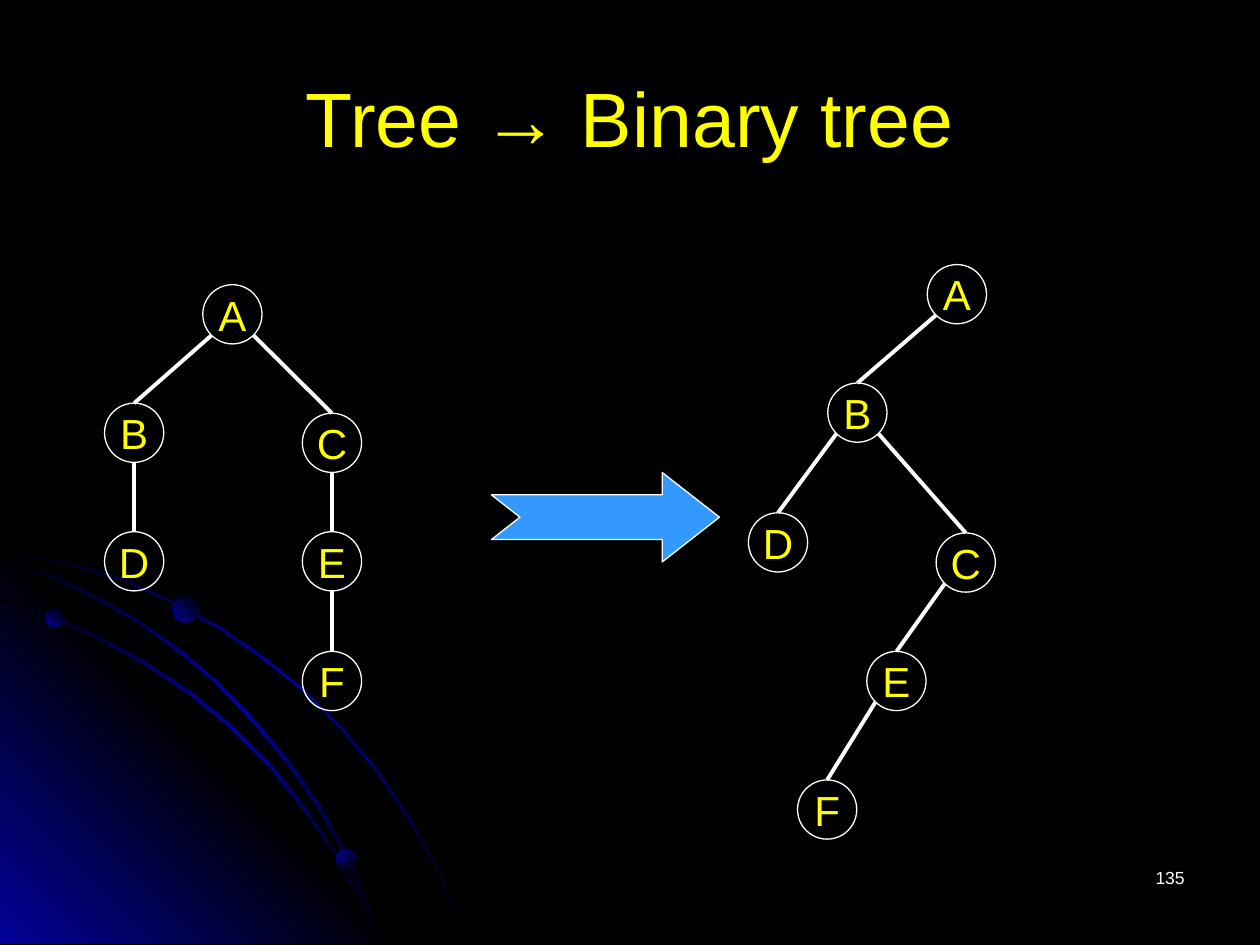
"""Build a slide that turns a tree into a binary tree."""
from math import cos, radians, sin

from lxml.etree import SubElement as Sub
from pptx import Presentation
from pptx.dml.color import RGBColor as Rgb
from pptx.enum.shapes import MSO_CONNECTOR as Link, MSO_SHAPE as Kind
from pptx.enum.text import MSO_ANCHOR as Anchor, PP_ALIGN as Align
from pptx.oxml.ns import qn
from pptx.util import Emu, Pt

PX = 9144
SIZE = 47
FONT = "Arial"
HUES = {"back": "000000", "glow": "010199", "line": "FFFFFF",
        "text": "FFFF00", "arrow": "3399FF"}

WIDE = [
    (57, 447), (28, 441), (0, 435), (0, 438), (28, 443), (56, 449), (97, 461),
    (135, 478), (173, 499), (208, 523), (241, 549), (271, 579), (298, 612),
    (323, 649), (337, 673), (350, 698), (360, 723), (370, 749), (372, 749),
    (362, 723), (352, 698), (339, 673), (325, 648), (300, 611), (272, 578),
    (242, 548), (209, 521), (174, 497), (136, 477), (98, 459)]
CORNER = [(322, 749), (0, 749), (0, 427)]
INNER = [
    (285, 714), (294, 732), (301, 749), (303, 749), (296, 730), (286, 712),
    (266, 676), (242, 640), (215, 606), (184, 576), (152, 549), (117, 526),
    (79, 505), (41, 488), (0, 475), (0, 477), (39, 490), (77, 507),
    (115, 528), (150, 551), (183, 578), (213, 608), (240, 642), (265, 677)]
OUTER = [
    (0, 442), (0, 444), (36, 457), (74, 475), (109, 494), (142, 518),
    (173, 544), (202, 575), (227, 605), (252, 641), (267, 667), (280, 694),
    (292, 722), (301, 749), (303, 749), (294, 720), (282, 693), (269, 665),
    (254, 639), (229, 603), (204, 573), (175, 543), (144, 516), (111, 493),
    (76, 473), (39, 455)]
DOTS = [(36, 483, 15, 315), (267, 674, 16, 45), (137, 473, 21, 315)]

TREE = {"A": (161, 226), "B": (83, 320), "C": (240, 328),
        "E": (240, 422), "F": (240, 517), "D": (83, 422)}
BINARY = {"A": (736, 210), "B": (657, 304), "C": (743, 423),
          "E": (688, 517), "F": (633, 619), "D": (594, 407)}


class Deck:
    """Hold the style and the current slide."""

    def __init__(self):
        self.prs = Presentation()
        self.prs.slide_width, self.prs.slide_height = self.emu(1000, 750)
        self.slide = self.prs.slides.add_slide(self.prs.slide_layouts[6])
        self.shapes = self.slide.shapes
        self.paint(self.slide.background.fill, "back")

    def emu(self, *spans):
        return [Emu(round(span * PX)) for span in spans]

    def hue(self, name):
        return Rgb.from_string(HUES[name])

    def paint(self, fill, name):
        fill.solid()
        fill.fore_color.rgb = self.hue(name)

    def stroke(self, line, width):
        self.paint(line.fill, "line")
        line.width = Pt(width)

    def blend(self, shape, names, angle):
        shape.shadow.inherit = False
        shape.line.fill.background()
        shape.fill.gradient()
        shape.fill.gradient_angle = (360 - angle) % 360
        stops = shape._element.spPr.find(f".//{qn('a:gsLst')}")
        stops[:] = []
        for step, name in enumerate(names):
            spot = 100000 * step // (len(names) - 1)
            stop = Sub(stops, qn("a:gs"), pos=str(spot))
            Sub(stop, qn("a:srgbClr"), val=HUES[name])

    def curve(self, points, names, angle):
        pen = self.shapes.build_freeform(*points[0], scale=PX)
        pen.add_line_segments(points[1:], close=True)
        self.blend(pen.convert_to_shape(), names, angle)

    def dot(self, left, top, size, angle):
        shape = self.shapes.add_shape(Kind.OVAL, *self.emu(left, top, size, size))
        self.blend(shape, ["glow", "back"], angle)

    def put(self, frame, text, size, name, align):
        para = frame.paragraphs[0]
        para.alignment = align
        run = para.add_run()
        run.text = text
        run.font.name = FONT
        run.font.size = Pt(size)
        run.font.color.rgb = self.hue(name)

    def label(self, box, text, size, name, align, anchor):
        frame = self.shapes.add_textbox(*self.emu(*box)).text_frame
        frame.word_wrap = True
        frame.vertical_anchor = anchor
        self.put(frame, text, size, name, align)

    def node(self, text, left, top):
        shape = self.shapes.add_shape(Kind.OVAL, *self.emu(left, top, SIZE, SIZE))
        shape.shadow.inherit = False
        shape.fill.background()
        self.stroke(shape.line, 0.75)
        frame = shape.text_frame
        frame.word_wrap = False
        frame.vertical_anchor = Anchor.MIDDLE
        self.put(frame, text, 24, "text", Align.CENTER)
        return shape

    def edge(self, start, end, angle):
        half = start.width / 2
        left = round(start.left + half + half * cos(radians(angle)))
        top = round(start.top + half + half * sin(radians(angle)))
        line = self.shapes.add_connector(Link.STRAIGHT, left, top, left, top)
        line.end_connect(end, 0)
        self.stroke(line.line, 2.25)
        Sub(line._element.spPr, qn("a:effectLst"))

    def tree(self, spots, edges):
        nodes = {text: self.node(text, *spot) for text, spot in spots.items()}
        for start, end, angle in edges:
            self.edge(nodes[start], nodes[end], angle)

    def arrow(self, *box):
        shape = self.shapes.add_shape(Kind.NOTCHED_RIGHT_ARROW, *self.emu(*box))
        shape.adjustments[0] = 0.5
        shape.adjustments[1] = 0.64
        shape.shadow.inherit = False
        self.paint(shape.fill, "arrow")
        self.stroke(shape.line, 0.75)


def main():
    deck = Deck()
    band = ["back", "glow", "back"]
    deck.curve(WIDE, band, 45)
    deck.curve(CORNER, ["glow", "back", "glow"], 315)
    for points in (INNER, OUTER):
        deck.curve(points, band, 45)
    for dot in DOTS:
        deck.dot(*dot)
    deck.tree(TREE, [("A", "B", 135), ("B", "D", 90), ("A", "C", 45),
                     ("C", "E", 90), ("E", "F", 90)])
    deck.arrow(390, 375, 181, 71)
    deck.tree(BINARY, [("A", "B", 135), ("B", "D", 135), ("B", "C", 45),
                       ("C", "E", 135), ("E", "F", 135)])
    deck.label((50, 30, 900, 125), "Tree → Binary tree", 44, "text",
               Align.CENTER, Anchor.MIDDLE)
    deck.label((717, 683, 233, 50), "135", 10, "line", Align.RIGHT, Anchor.TOP)
    deck.prs.save("out.pptx")


if __name__ == "__main__":
    main()
